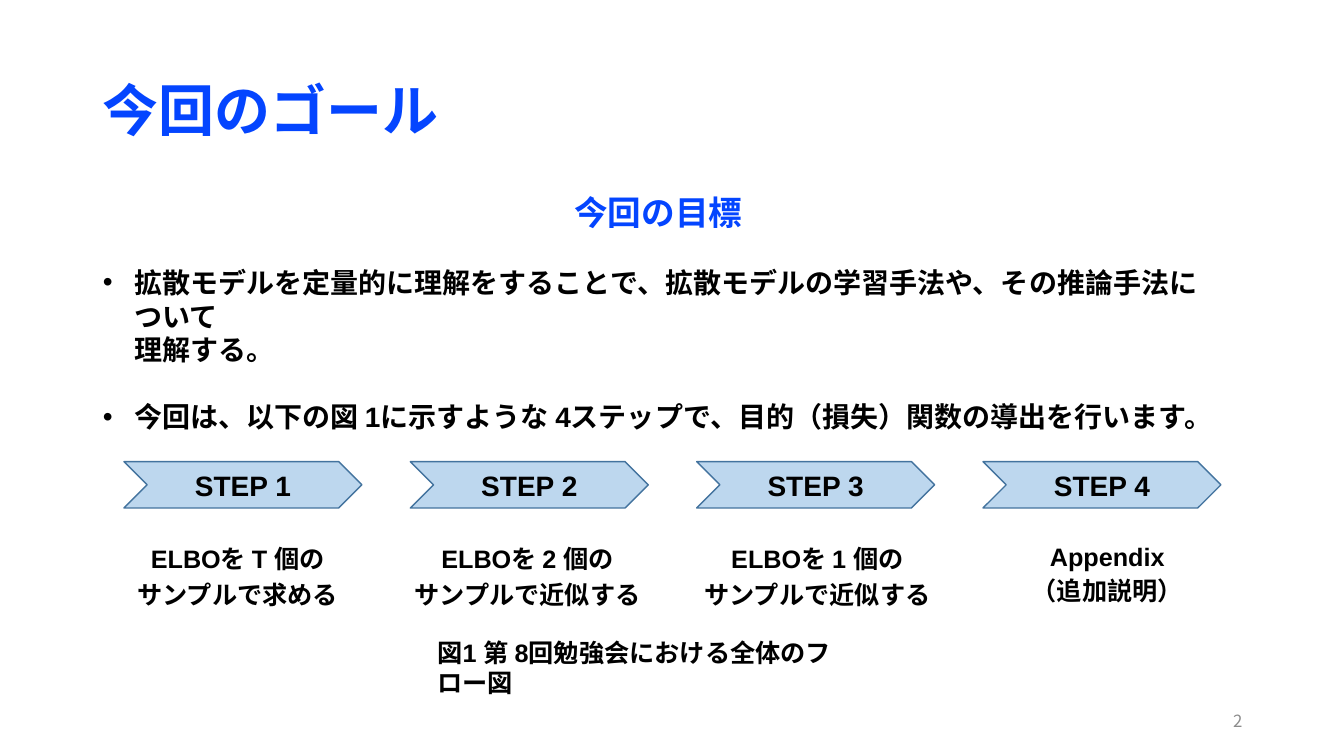
from pptx import Presentation
from pptx.dml.color import RGBColor
from pptx.enum.shapes import MSO_SHAPE
from pptx.enum.text import MSO_ANCHOR, MSO_AUTO_SIZE, PP_ALIGN
from pptx.oxml import parse_xml
from pptx.oxml.ns import nsdecls
from pptx.util import Inches, Pt

COLORS = {"blue": "0445FF", "black": "000000", "gray": "8C8C8C",
          "step": "BDD7EE", "outline": "43739E"}

GOALS = [
    "拡散モデルを定量的に理解をすることで、拡散モデルの学習手法や、その推論手法について\n理解する。",
    "今回は、以下の図 1に示すような 4ステップで、目的（損失）関数の導出を行います。",
]
STEPS = [
    ["ELBOを T 個の", "サンプルで求める"],
    ["ELBOを 2 個の", "サンプルで近似する"],
    ["ELBOを 1 個の", "サンプルで近似する"],
    ["Appendix\n（追加説明）"],
]


def rgb(name):
    return RGBColor.from_string(COLORS[name])


def write(p, text, size, color="black", align=PP_ALIGN.LEFT, bold=True, font="Arial"):
    p.text = text
    p.alignment = align
    for r in p.runs:
        r.font.name = font
        r.font.size = Pt(size)
        r.font.bold = bold
        r.font.color.rgb = rgb(color)


def place(sp, left, top, width, height):
    sp.left, sp.top = Inches(left), Inches(top)
    sp.width, sp.height = Inches(width), Inches(height)


def set_bullet(p, char=None):
    pPr = p._p.get_or_add_pPr()
    indent = Inches(0.31) if char else 0
    pPr.set("marL", str(indent))
    pPr.set("indent", str(-indent))
    tag = f'a:buChar {nsdecls("a")} char="{char}"' if char else f'a:buNone {nsdecls("a")}'
    pPr.append(parse_xml(f"<{tag}/>"))


def add_title(slide, text):
    sp = slide.shapes.title
    place(sp, 0.92, 0.4, 11.5, 1.45)
    tf = sp.text_frame
    tf.vertical_anchor = MSO_ANCHOR.MIDDLE
    p = tf.paragraphs[0]
    write(p, text, 40, "blue")
    p.line_spacing = 0.9


def add_goals(slide, heading, goals):
    sp = slide.placeholders[1]
    place(sp, 0.92, 1.85, 11.22, 2.19)
    tf = sp.text_frame
    tf.auto_size = MSO_AUTO_SIZE.NONE
    p = tf.paragraphs[0]
    write(p, heading, 24, "blue", PP_ALIGN.CENTER)
    p.space_before = Pt(0)
    set_bullet(p)
    for goal in goals:
        p = tf.add_paragraph()
        write(p, goal, 20)
        p.space_before = Pt(24)
        set_bullet(p, "•")


def add_step(slide, left, text):
    sp = slide.shapes.add_shape(MSO_SHAPE.CHEVRON, Inches(left), Inches(4.58),
                                Inches(2.36), Inches(0.46))
    sp.shadow.inherit = False
    sp.fill.solid()
    sp.fill.fore_color.rgb = rgb("step")
    sp.line.color.rgb = rgb("outline")
    sp.line.width = Pt(1)
    tf = sp.text_frame
    tf.vertical_anchor = MSO_ANCHOR.MIDDLE
    write(tf.paragraphs[0], text, 20, align=PP_ALIGN.CENTER)


def add_step_table(slide, steps):
    table = slide.shapes.add_table(1, len(steps), Inches(0.92), Inches(5.12),
                                   Inches(11.5), Inches(1.18)).table
    table.first_row = False
    table.horz_banding = False
    for cell, lines in zip(table.rows[0].cells, steps):
        cell.fill.background()
        cell.vertical_anchor = MSO_ANCHOR.MIDDLE
        tf = cell.text_frame
        for i, line in enumerate(lines):
            p = tf.add_paragraph() if i else tf.paragraphs[0]
            write(p, line, 18, align=PP_ALIGN.CENTER)


def add_text(slide, left, top, width, height, text, size, **style):
    tf = slide.shapes.add_textbox(Inches(left), Inches(top),
                                  Inches(width), Inches(height)).text_frame
    tf.word_wrap = True
    write(tf.paragraphs[0], text, size, **style)
    return tf


def main():
    prs = Presentation()
    prs.slide_width, prs.slide_height = Inches(13.33), Inches(7.5)
    slide = prs.slides.add_slide(prs.slide_layouts[1])
    add_title(slide, "今回のゴール")
    add_goals(slide, "今回の目標", GOALS)
    add_step_table(slide, STEPS)
    for i in range(len(STEPS)):
        add_step(slide, 1.23 + 2.84 * i, f"STEP {i + 1}")
    add_text(slide, 4.24, 6.27, 4.59, 0.4, "図1 第 8回勉強会における全体のフロー図", 18)
    number = add_text(slide, 9.42, 6.95, 3, 0.4, "2", 12, color="gray",
                      align=PP_ALIGN.RIGHT, bold=False, font="Noto Sans CJK JP")
    number.vertical_anchor = MSO_ANCHOR.MIDDLE
    prs.save("out.pptx")


if __name__ == "__main__":
    main()
